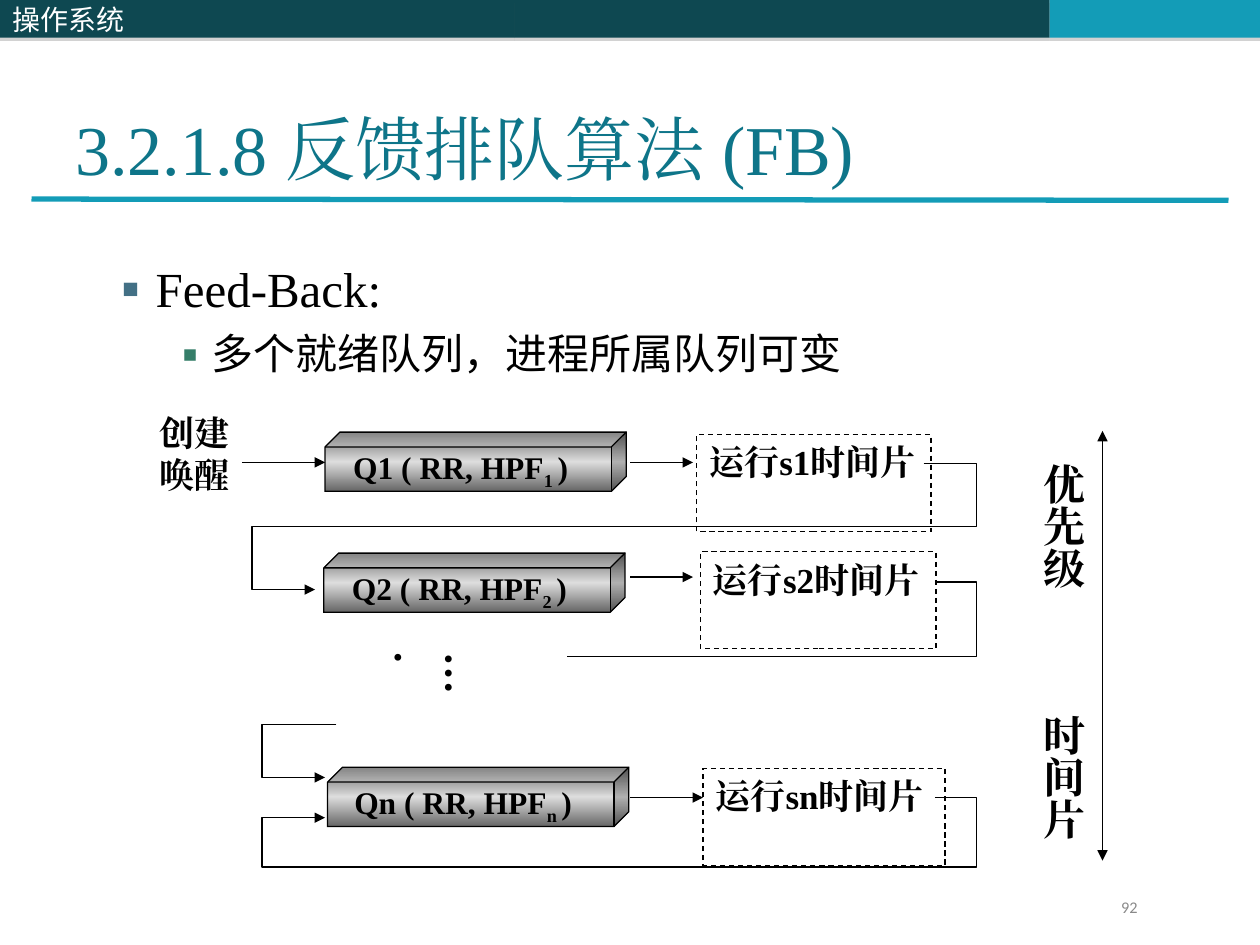
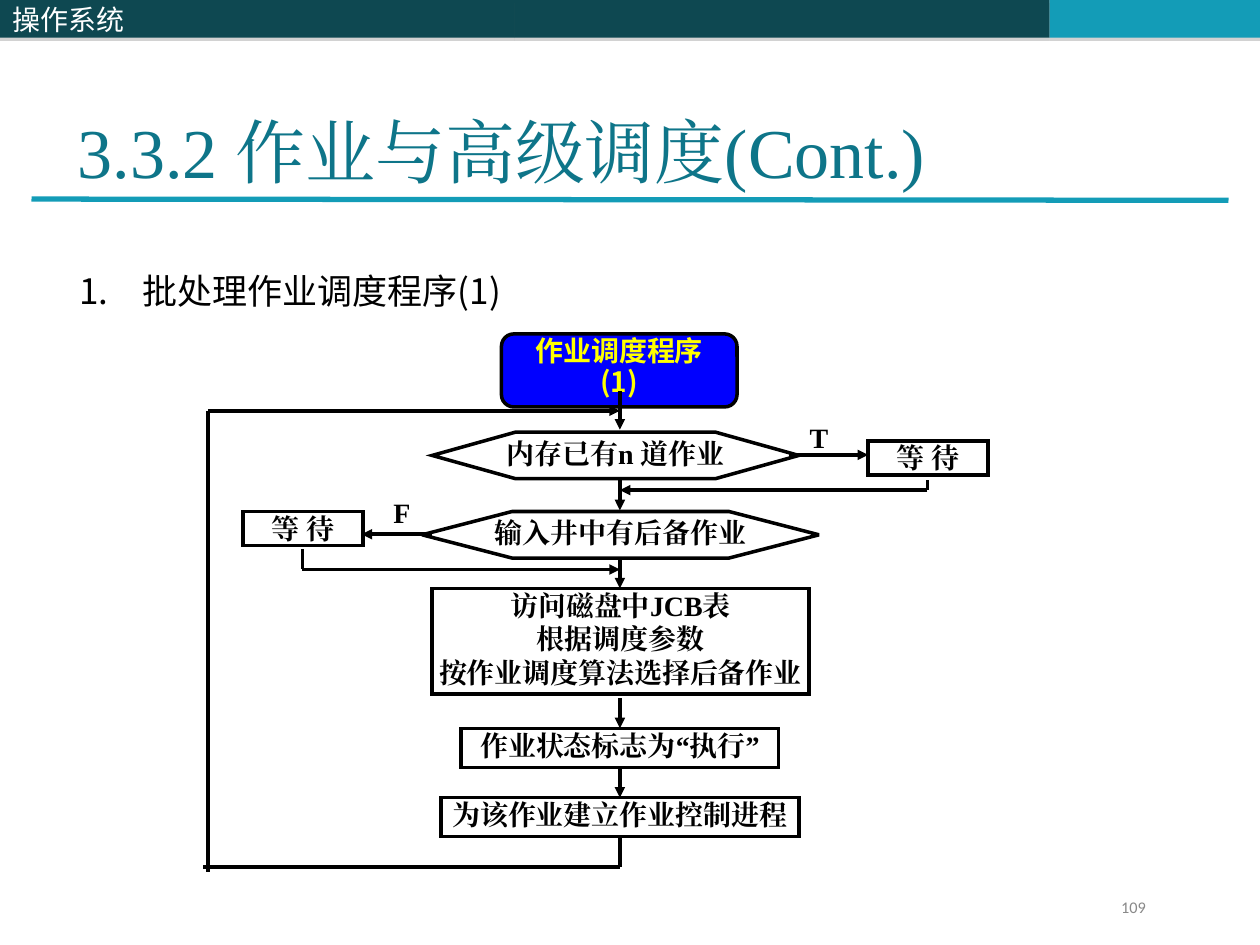
import copy

import lxml.etree
import pptx
import pptx.dml.color
import pptx.enum.dml
import pptx.enum.shapes
import pptx.enum.text
import pptx.oxml.ns
import pptx.util

COLORS = {
    "band": "0E4851", "accent": "139CB7", "title": "0E7589", "black": "000000",
    "white": "FFFFFF", "number": "898989", "shadow": "808080",
    "bullet": "437085", "sub_bullet": "357E69",
    "metal_dark": "666666", "metal_light": "DDDDDD",
    "start": "0000FF", "start_text": "FFFF00",
}
SERIF = "Times New Roman"
SANS = "Noto Sans CJK SC"
SHAPE = pptx.enum.shapes.MSO_SHAPE
ALIGN = pptx.enum.text.PP_ALIGN
ANCHOR = pptx.enum.text.MSO_ANCHOR
rgb = pptx.dml.color.RGBColor.from_string
qn = pptx.oxml.ns.qn
child = lxml.etree.SubElement

deck = pptx.Presentation()
deck.slide_width = pptx.util.Inches(10)
deck.slide_height = pptx.util.Inches(7.5)
COLUMN = deck.slide_width / 100
ROW = deck.slide_height / 75


def add_box(page, at, text="", size=16, kind=None, font=SERIF, color="black", bold=True,
            fill=None, line=None, dash=False, align=ALIGN.LEFT, anchor=ANCHOR.TOP,
            inset=(1, 0.5, 1, 0.5), wrap=True, spacing=None, vertical=False):
    place = [round(length * cell) for length, cell in zip(at, (COLUMN, ROW) * 2)]
    if kind is None:
        box = page.shapes.add_textbox(*place)
    else:
        box = page.shapes.add_shape(kind, *place)
        box.shadow.inherit = False
        box.fill.background()
        box.line.fill.background()
    if fill:
        box.fill.solid()
        box.fill.fore_color.rgb = rgb(COLORS[fill])
    if line:
        box.line.color.rgb = rgb(COLORS["black"])
        box.line.width = pptx.util.Pt(line)
        if dash:
            box.line.dash_style = pptx.enum.dml.MSO_LINE.DASH
        child(box.element.spPr.find(qn("a:ln")), qn("a:miter"), lim="800000")
    frame = box.text_frame
    frame.word_wrap = wrap
    frame.vertical_anchor = anchor
    frame.margin_left, frame.margin_top, frame.margin_right, frame.margin_bottom = [
        round(margin * COLUMN) for margin in inset]
    if vertical:
        frame._txBody.bodyPr.set("vert", "eaVert")
    frame.text = text
    for para in frame.paragraphs:
        para.alignment = align
        if spacing:
            para.line_spacing = spacing
        for span in para.runs:
            span.font.size = pptx.util.Pt(size)
            span.font.name = font
            span.font.bold = bold
            span.font.color.rgb = rgb(COLORS[color])
            child(span.font._element, qn("a:ea"), typeface=font)
    return box


def add_line(page, points, width=0.75, color="black", head=False, tail=True):
    corners = [(round(x * COLUMN), round(y * ROW)) for x, y in points]
    if len(corners) == 2:
        line = page.shapes.add_connector(
            pptx.enum.shapes.MSO_CONNECTOR.STRAIGHT, *corners[0], *corners[1])
    else:
        builder = page.shapes.build_freeform(*corners[0])
        builder.add_line_segments(corners[1:], close=False)
        line = builder.convert_to_shape()
        line.fill.background()
    line.line.color.rgb = rgb(COLORS[color])
    line.line.width = pptx.util.Pt(width)
    stroke = line.element.spPr.find(qn("a:ln"))
    for end, wanted in (("a:headEnd", head), ("a:tailEnd", tail)):
        if wanted:
            child(stroke, qn(end), type="triangle")
    child(line.element.spPr, qn("a:effectLst"))


pages = []
for number in ("92", "109"):
    page = deck.slides.add_slide(deck.slide_layouts[6])
    for left, width, fill, text in ((40.8, 42.5, "band", ""), (83.3, 16.7, "accent", ""),
                                    (0, 40.8, "band", "操作系统")):
        band = add_box(page, (left, 0, width, 3), text, 16, SHAPE.RECTANGLE, SANS, "white",
                       False, fill, anchor=ANCHOR.MIDDLE)
        effects = band.element.spPr.find(qn("a:effectLst"))
        shadow = child(effects, qn("a:outerShdw"), dist=str(pptx.util.Pt(1.8)), dir="5400000")
        tone = child(shadow, qn("a:srgbClr"), val=COLORS["shadow"])
        child(tone, qn("a:alpha"), val="35000")
    add_line(page, ((2.5, 15.8), (97.5, 15.9)), 3, "accent", tail=False)
    add_box(page, (88, 71, 10.3, 2.7), number, 9.3, font="Calibri", color="number",
            bold=False, spacing=0.8)
    pages.append(page)
feedback, scheduling = pages

add_box(feedback, (5, 3, 90, 12.5), "3.2.1.8 反馈排队算法 (FB)", 40, color="title",
        bold=False, anchor=ANCHOR.BOTTOM)
body = add_box(feedback, (7.5, 20, 85, 55), "Feed-Back:\n多个就绪队列，进程所属队列可变",
               28, bold=False)
points = body.text_frame.paragraphs
points[1].level = 1
points[1].space_before = pptx.util.Pt(6)
span = points[1].runs[0]
span.font.size = pptx.util.Pt(24)
span.font.name = SANS
span.font._element.find(qn("a:ea")).set("typeface", SANS)
for para, color, margin, hang in zip(points, ("bullet", "sub_bullet"), (3.8, 8.1), (3.8, 3.1)):
    settings = para._p.get_or_add_pPr()
    settings.set("marL", str(round(margin * COLUMN)))
    settings.set("indent", str(round(-hang * COLUMN)))
    child(child(settings, qn("a:buClr")), qn("a:srgbClr"), val=COLORS[color])
    child(settings, qn("a:buFont"), typeface=SANS)
    child(settings, qn("a:buChar"), char="▪")

queues = (
    ("1", (25.8, 34.3), (55.3, 34.5, 18.6), (55, 36.7)),
    ("2", (25.7, 43.9), (55.6, 43.8, 18.7), (55, 45.8)),
    ("n", (26, 60.9), (55.8, 61, 19.2), (55.8, 63.3)),
)
for name, corner, (left, top, width), target in queues:
    add_line(feedback, ((50, target[1]), target))
    add_box(feedback, (left, top, width, 7.7), f"运行s{name}时间片", 20, SHAPE.RECTANGLE,
            line=0.75, dash=True)
    queue = add_box(feedback, (*corner, 23.9, 4.7), f"Q{name} ( RR, HPF", 18, SHAPE.CUBE,
                    line=0.75, align=ALIGN.CENTER, anchor=ANCHOR.MIDDLE,
                    inset=(1, 0.5, 2.2, 0.5), wrap=False)
    queue.adjustments[0] = 0.25
    queue.fill.gradient()
    queue.fill.gradient_angle = 90
    for stop in queue.fill.gradient_stops:
        stop.color.rgb = rgb(COLORS["metal_dark"])
    stops = queue.element.spPr.find(".//" + qn("a:gsLst"))
    middle = copy.deepcopy(stops[0])
    middle.set("pos", "50000")
    middle[0].set("val", COLORS["metal_light"])
    stops.insert(1, middle)
    para = queue.text_frame.paragraphs[0]
    label = para.runs[0]
    for text, baseline in ((name + " ", "-25000"), (")", "0")):
        span = para.add_run()
        span.text = text
        span._r.insert(0, copy.deepcopy(label.font._element))
        span.font._element.set("baseline", baseline)

add_box(feedback, (11.7, 32.2, 8.3, 7.7), "创建唤醒", 20)
for text, at in (("….", (33.2, 50.8, 6, 5.8)), ("优先级", (76.9, 35.8, 10, 14)),
                 ("时间片", (76.9, 55.7, 10, 14))):
    add_box(feedback, at, text, 24, inset=(0.5, 1, 0.5, 1), vertical=True)
add_line(feedback, ((19.2, 36.7), (25.8, 36.7)))
add_line(feedback, ((87.5, 34.2), (87.5, 68.3)), head=True)
add_line(feedback, ((73.3, 36.8), (77.5, 36.8), (77.5, 41.8), (20, 41.8), (20, 46.8), (25, 46.8)))
add_line(feedback, ((74.2, 46.2), (77.5, 46.2), (77.5, 52.1), (45, 52.1)), tail=False)
add_line(feedback, ((26.7, 57.5), (20.8, 57.5), (20.8, 61.7), (25.8, 61.7)))
add_line(feedback, ((74.2, 63.3), (77.5, 63.3), (77.5, 68.8), (20.8, 68.8),
                    (20.8, 64.9), (25.8, 64.9)))

NO_INSET = (0, 0, 0, 0)
add_box(scheduling, (2.8, 8.6, 74, 6.7), "3.3.2 作业与高级调度(Cont.)", 40, color="title",
        bold=False, align=ALIGN.CENTER, anchor=ANCHOR.MIDDLE, inset=NO_INSET)
heading = add_box(scheduling, (6.3, 21.4, 87.4, 3.3), "批处理作业调度程序(1)", 20, font=SANS,
                  bold=False, anchor=ANCHOR.MIDDLE, inset=NO_INSET)
settings = heading.text_frame.paragraphs[0]._p.get_or_add_pPr()
settings.set("marL", str(round(5 * COLUMN)))
settings.set("indent", str(round(-5 * COLUMN)))
child(settings, qn("a:buFont"), typeface=SANS)
child(settings, qn("a:buAutoNum"), type="arabicPeriod")

start = add_box(scheduling, (39.8, 26.5, 18.7, 5.8), "作业调度程序(1)", 16,
                SHAPE.ROUNDED_RECTANGLE, SANS, "start_text", fill="start", line=2,
                align=ALIGN.CENTER, anchor=ANCHOR.MIDDLE, inset=(1, 0, 1, 0.4), spacing=0.9)
start.adjustments[0] = 0.17
for text, at, slant in (("内存已有n 道作业", (34.3, 34.3, 29.1, 3.7), 1.79),
                        ("输入井中有后备作业", (33.5, 40.6, 31.5, 3.7), 1.93)):
    decision = add_box(scheduling, at, text, kind=SHAPE.HEXAGON, line=2, align=ALIGN.CENTER,
                       anchor=ANCHOR.MIDDLE, inset=NO_INSET, spacing=0.9)
    decision.adjustments[0] = slant
for text, at in (
    ("等 待", (68.9, 35, 9.5, 2.7)),
    ("等 待", (19.3, 40.6, 9.5, 2.7)),
    ("访问磁盘中JCB表\n根据调度参数\n按作业调度算法选择后备作业", (34.3, 46.7, 29.9, 8.4)),
    ("作业状态标志为“执行”", (36.6, 57.8, 25.2, 3.1)),
    ("为该作业建立作业控制进程", (35, 63.3, 28.4, 3.1)),
):
    add_box(scheduling, at, text, kind=SHAPE.RECTANGLE, line=2, align=ALIGN.CENTER,
            inset=NO_INSET)
for answer, left, top in (("T", 64.2, 33.4), ("F", 31.1, 39.3)):
    add_box(scheduling, (left, top, 1.6, 2.7), answer, align=ALIGN.CENTER, inset=NO_INSET)

SPINE = 49.2
for top, bottom in ((31, 34.1), (38.1, 40.5), (44.4, 46.7), (55.4, 57.8), (60.9, 63.3)):
    add_line(scheduling, ((SPINE, top), (SPINE, bottom)), 2)
for ends in (((62.6, 36.1), (68.9, 36.1)), ((34.3, 42.4), (28.7, 42.4)),
             ((73.6, 38.9), (SPINE, 38.9)), ((24, 45.2), (SPINE, 45.2)),
             ((16.5, 32.6), (SPINE, 32.6))):
    add_line(scheduling, ends, 2)
for ends in (((73.6, 38.1), (73.6, 38.9)), ((24, 43.6), (24, 45.2)),
             ((SPINE, 66.4), (SPINE, 68.8)), ((SPINE, 68.8), (16.1, 68.8)),
             ((16.5, 69.2), (16.5, 32.6))):
    add_line(scheduling, ends, 2, tail=False)

deck.save("out.pptx")
